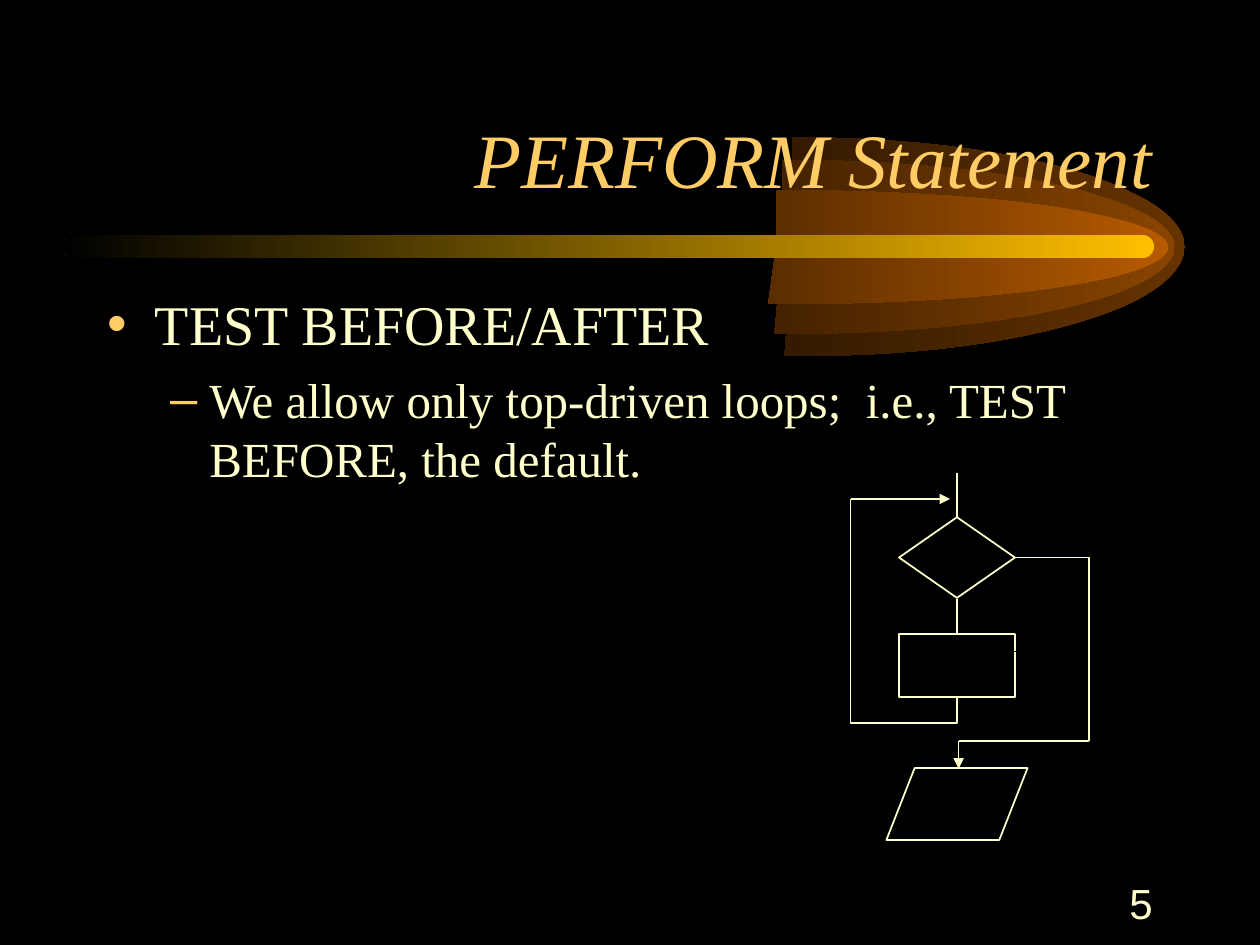
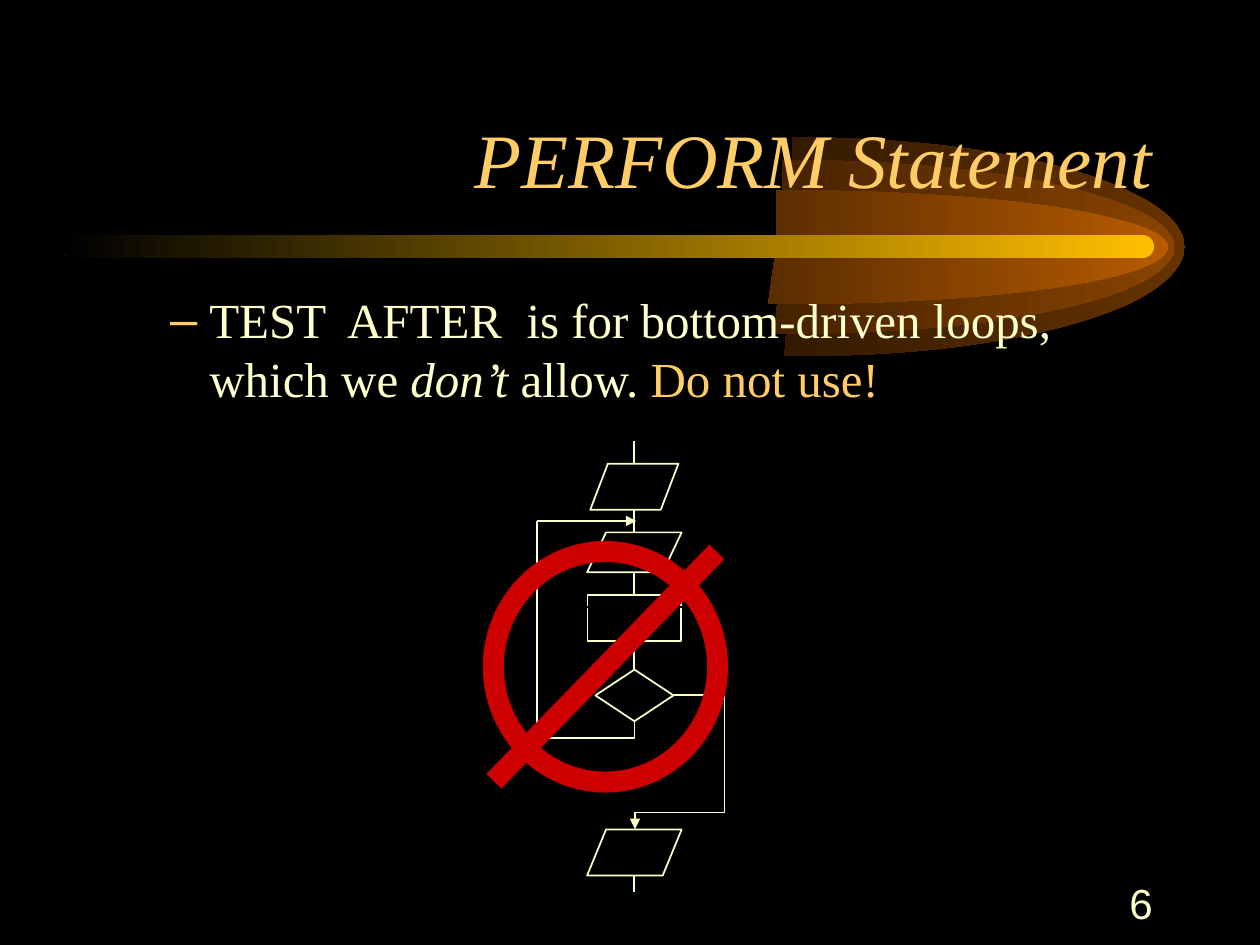
from lxml.etree import SubElement
from pptx import Presentation
from pptx.dml.color import RGBColor
from pptx.enum.shapes import MSO_CONNECTOR, MSO_SHAPE
from pptx.enum.text import MSO_ANCHOR, MSO_AUTO_SIZE, PP_ALIGN
from pptx.oxml.ns import qn
from pptx.util import Inches, Pt

# Grid: 100 columns by 75 rows, each a tenth of an inch
UNIT = Inches(0.1)
COLS, ROWS = 100, 75

INK = {
    "back": "000000", "text": "FFFFCC", "gold": "FFCC66", "bar": "FFBF00",
    "outer": "663300", "mid": "894400", "inner": "B75B00", "stop": "CC0000",
}
SERIF, SANS = "Times New Roman", "Arial"
STEP = MSO_SHAPE.FLOWCHART_PROCESS
DATA = MSO_SHAPE.FLOWCHART_DATA
TEST = MSO_SHAPE.FLOWCHART_DECISION

# Comet rings: colour, left, top, width, height
RINGS = [("outer", 31.6, 10.9, 62.6, 17.5), ("mid", 30.8, 12.7, 62.6, 13.9),
         ("inner", 30.3, 15.1, 62.6, 9.1)]
# Ring outline in percent of its box
START, HUB = (50, 0), (50, 50)
CURVES = [[(68, 0), (84, 9), (93, 25)],
          [(102, 40), (102, 59), (93, 75)],
          [(84, 90), (68, 100), (49, 99)]]

# List levels: size, left indent, hanging indent, space before, bullet
LEVELS = [(32, 3.8, 3.8, 8, "•"), (28, 8.12, 3.12, 7, "–")]


def grid(*cells):
    return [round(cell * UNIT) for cell in cells]


def tint(name):
    return RGBColor.from_string(INK[name])


# Text
def write(para, text, size, color="text", font=SERIF, slant=False):
    run = para.add_run()
    run.text = text
    run.font.size = Pt(size)
    run.font.name = font
    run.font.italic = slant
    run.font.color.rgb = tint(color)


def place(shape, *cells):
    shape.left, shape.top, shape.width, shape.height = grid(*cells)


def bullet(para, level):
    size, left, hang, gap, mark = LEVELS[level]
    para.level = level
    props = para._p.get_or_add_pPr()
    props.set("marL", str(grid(left)[0]))
    props.set("indent", str(-grid(hang)[0]))
    tone = SubElement(props, qn("a:buClr"))
    SubElement(tone, qn("a:srgbClr"), val=INK["gold"])
    SubElement(props, qn("a:buFont"), typeface=SANS)
    SubElement(props, qn("a:buChar"), char=mark)
    return size, gap


def fill_list(body, items):
    place(body, 7.5, 22.5, 85, 45)
    frame = body.text_frame
    frame.auto_size = MSO_AUTO_SIZE.NONE
    for i, (level, runs) in enumerate(items):
        para = frame.add_paragraph() if i else frame.paragraphs[0]
        size, gap = bullet(para, level)
        para.space_before = Pt(gap if i else 0)
        for text, style in runs:
            write(para, text, size, **style)


# Shared look
def fade(shape, color):
    shape.shadow.inherit = False
    shape.line.fill.background()
    shape.fill.gradient()
    shape.fill.gradient_angle = 180
    for spot, (stop, name) in enumerate(
            zip(shape.fill.gradient_stops, (color, "back"))):
        stop.position = spot
        stop.color.rgb = tint(name)


def trace(route, kind, *points):
    part = SubElement(route, qn("a:" + kind))
    for x, y in points:
        SubElement(part, qn("a:pt"), x=str(x), y=str(y))


def ring(slide, color, *box):
    pen = slide.shapes.build_freeform(*START)
    pen.add_line_segments([curve[-1] for curve in CURVES])
    shape = pen.convert_to_shape()
    place(shape, *box)
    # Bend the straight sides into curves
    route = next(shape.element.iter(qn("a:path")))
    for part in list(route):
        route.remove(part)
    route.set("w", "100")
    route.set("h", "100")
    trace(route, "moveTo", START)
    for curve in CURVES:
        trace(route, "cubicBezTo", *curve)
    trace(route, "lnTo", HUB)
    SubElement(route, qn("a:close"))
    fade(shape, color)


def comet(slide):
    for spec in RINGS:
        ring(slide, *spec)
    bar = slide.shapes.add_shape(
        MSO_SHAPE.ROUNDED_RECTANGLE, *grid(5, 18.66, 86.6, 1.82))
    bar.adjustments[0] = 0.5
    fade(bar, "bar")


def frame_slide(deck, number, items):
    slide = deck.slides.add_slide(deck.slide_layouts[1])
    comet(slide)
    title, body = slide.shapes.title, slide.placeholders[1]
    for holder in (title, body):  # text goes in front of the comet
        holder.element.getparent().append(holder.element)

    place(title, 7.5, 4.2, 85, 12.5)
    title.text_frame.auto_size = MSO_AUTO_SIZE.NONE
    title.text_frame.vertical_anchor = MSO_ANCHOR.BOTTOM
    para = title.text_frame.paragraphs[0]
    para.alignment = PP_ALIGN.RIGHT
    write(para, "PERFORM Statement", 44, "gold", slant=True)
    fill_list(body, items)
    return slide


def foot(slide, number):
    frame = slide.shapes.add_textbox(*grid(71.67, 69.16, 20.8, 5)).text_frame
    frame.word_wrap = True
    frame.vertical_anchor = MSO_ANCHOR.MIDDLE
    frame.paragraphs[0].alignment = PP_ALIGN.RIGHT
    write(frame.paragraphs[0], str(number), 24, font=SANS)


# Flow chart parts
def node(slide, kind, axis, top, wide, high, color="text", width=1):
    shape = slide.shapes.add_shape(
        kind, *grid(axis - wide / 2, top, wide, high))
    shape.shadow.inherit = False
    shape.fill.background()
    shape.line.color.rgb = tint(color)
    shape.line.width = Pt(width)


def wire(slide, start, end, arrow=False, color="text", width=1,
         kind=MSO_CONNECTOR.STRAIGHT):
    line = slide.shapes.add_connector(kind, *grid(*start, *end))
    line.line.color.rgb = tint(color)
    line.line.width = Pt(width)
    props = line.element.spPr
    if arrow:
        SubElement(props.find(qn("a:ln")), qn("a:tailEnd"), type="triangle")
    SubElement(props, qn("a:effectLst"))
    return props


def corner(slide, start, end):
    """Run right, then down."""
    props = wire(slide, start, end, kind=MSO_CONNECTOR.ELBOW)
    props.find(qn("a:prstGeom")).set("prst", "bentConnector2")


def hook(slide, start, end, dip):
    """Drop by dip, run left, then climb: an elbow turned a quarter."""
    wide, high = start[1] - end[1], start[0] - end[0]
    x, y = (start[0] + end[0]) / 2, (start[1] + end[1]) / 2
    props = wire(slide, (x - wide / 2, y + high / 2),
                 (x + wide / 2, y - high / 2), kind=MSO_CONNECTOR.ELBOW)
    props.find(qn("a:xfrm")).set("rot", str(270 * 60000))
    shape = props.find(qn("a:prstGeom"))
    guides = shape.find(qn("a:avLst"))
    if guides is None:
        guides = SubElement(shape, qn("a:avLst"))
    SubElement(guides, qn("a:gd"), name="adj1",
               fmla=f"val {round(-dip / wide * 100000)}")


def stems(slide, axis, spans):
    for top, base in spans:
        wire(slide, (axis, top), (axis, base))


def leave(slide, start, out, turn, axis, base):
    """Way out of the loop, round to the next step."""
    corner(slide, start, (out, turn))
    wire(slide, (axis, turn), (axis, base), arrow=True)
    wire(slide, (out, turn), (axis, turn))


def top_loop(slide):
    axis, back = 75.95, 67.5
    node(slide, STEP, axis, 50.3, 9.2, 5)
    node(slide, DATA, axis, 60.96, 11.2, 5.7)
    node(slide, TEST, axis, 41.05, 9.2, 6.4)
    stems(slide, axis, [(37.5, 41.1), (47.5, 50.3)])
    hook(slide, (axis, 55.3), (back, 39.6), 2.1)
    wire(slide, (back, 39.6), (75.4, 39.6), arrow=True)
    leave(slide, (80.6, 44.25), 86.45, 58.84, 76.08, 61)
    wire(slide, (71.6, 51.7), (80.7, 51.7), color="back")


def bottom_loop(slide):
    axis, back = 50.35, 42.6
    node(slide, DATA, axis, 36.8, 7, 3.65)
    node(slide, DATA, axis, 65.83, 7.5, 3.65)
    node(slide, DATA, axis, 42.25, 7.5, 3.17)
    node(slide, STEP, axis, 47.22, 7.45, 3.65)
    stems(slide, axis, [(35, 36.8), (40.4, 42.3), (45.4, 47.2),
                        (50.9, 53.1), (69.5, 70.8)])
    leave(slide, (53.5, 55.15), 57.5, 64.48, 50.4, 65.8)
    node(slide, TEST, axis, 53.14, 6.2, 4.1)
    wire(slide, (46.5, 48.15), (54.4, 48.15), color="back")
    hook(slide, (axis, 57.2), (back, 41.35), 1.37)
    wire(slide, (back, 41.35), (50.5, 41.35), arrow=True)


def ban(slide):
    pen = {"color": "stop", "width": 12}
    node(slide, MSO_SHAPE.OVAL, 48.05, 43.77, 17.8, 18.3, **pen)
    wire(slide, (56.9, 43.8), (39.2, 62), **pen)


def main():
    deck = Presentation()
    deck.slide_width, deck.slide_height = grid(COLS, ROWS)
    back = deck.slide_master.background.fill
    back.solid()
    back.fore_color.rgb = tint("back")

    # Test before
    slide = frame_slide(deck, 5, [
        (0, [("TEST BEFORE/AFTER", {})]),
        (1, [("We allow only top-driven loops;  i.e., TEST BEFORE, "
              "the default.", {})]),
    ])
    top_loop(slide)
    foot(slide, 5)

    # Test after
    slide = frame_slide(deck, 6, [
        (1, [("TEST  AFTER  is for bottom-driven loops, which we ", {}),
             ("don’t", {"slant": True}),
             (" allow. ", {}),
             ("Do not use!", {"color": "gold"})]),
    ])
    bottom_loop(slide)
    ban(slide)
    foot(slide, 6)

    deck.save("out.pptx")


if __name__ == "__main__":
    main()
